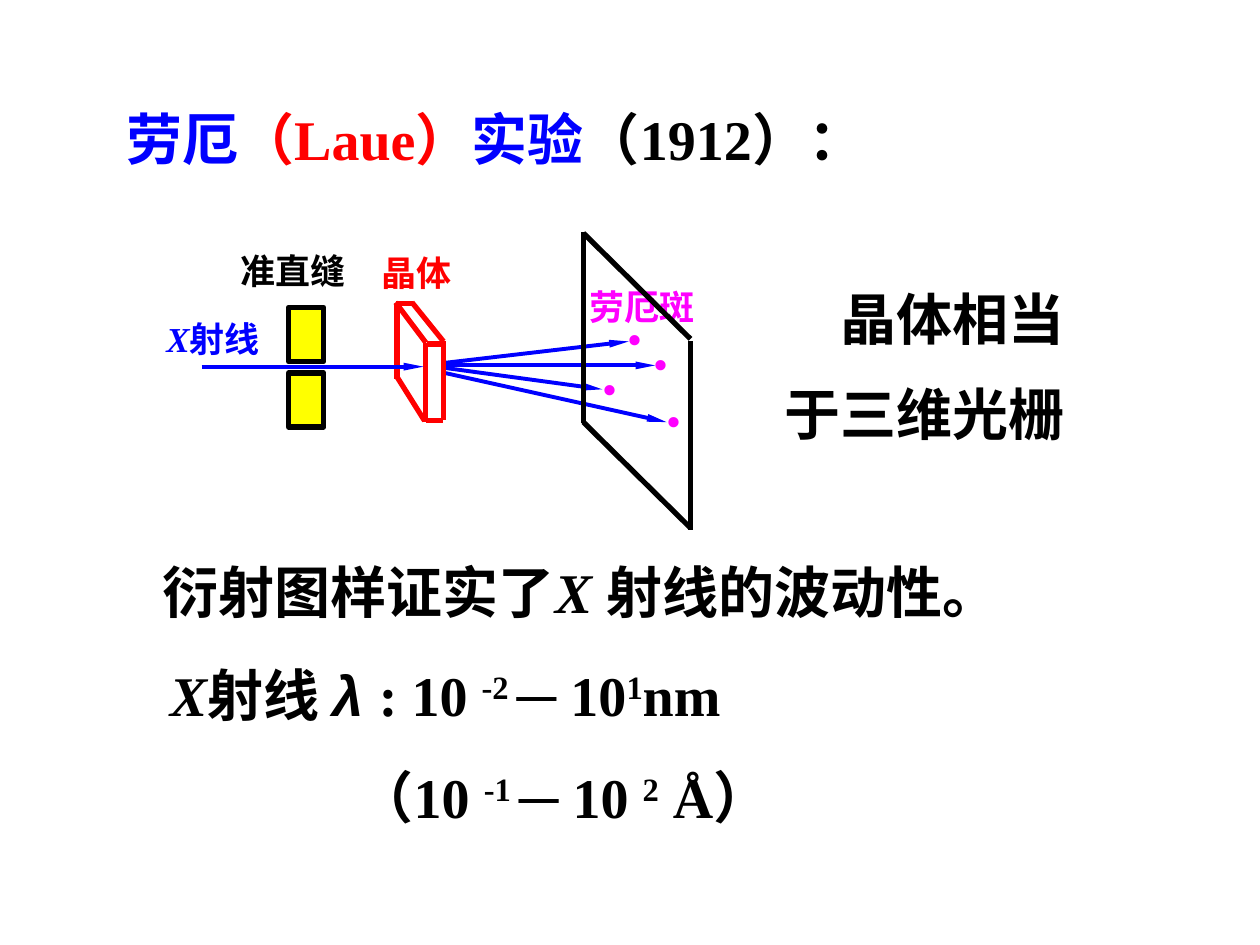
"""Build the Laue experiment slide."""
from lxml import etree
from pptx import Presentation
from pptx.dml.color import RGBColor
from pptx.enum.shapes import MSO_CONNECTOR, MSO_SHAPE
from pptx.enum.text import MSO_ANCHOR, MSO_AUTO_SIZE, PP_ALIGN
from pptx.oxml.ns import qn
from pptx.util import Inches, Pt

LINE, RECT = MSO_CONNECTOR.STRAIGHT, MSO_SHAPE.RECTANGLE
TOP, NO_FIT, LEFT = MSO_ANCHOR.TOP, MSO_AUTO_SIZE.NONE, PP_ALIGN.LEFT
BLACK, BLUE, RED = "000000", "0000FF", "FF0000"
PINK, GOLD = "FF00FF", "FFFF00"
SERIF, SANS = "Times New Roman", "Arial"
ITAL, SUP, ARIAL = {"ital": True}, {"sup": True}, {"face": SANS}

TITLE = [("劳厄", {"color": BLUE}), ("（Laue）", {"color": RED}),
         ("实验", {"color": BLUE}), ("（1912）：", {})]

NOTES = [
    ((0.77, 4.27, 8.25, 0.74), 1.2, 0.42,
     [[("衍射图样证实了", {}), ("X ", ITAL), ("射线的波动性。", {})]]),
    ((6.13, 2, 3.4, 1.6), 1.4, 0.44,
     [[("晶体相当", {})], [("于三维光栅", {})]]),
    ((1.25, 5.19, 6.25, 0.64), 1, 0,
     [[("X", ITAL), ("射线 ", {}), ("λ ", {"face": SANS, "ital": True}),
       (": 10 ", {}), ("-2 ", SUP), ("─", ARIAL), (" 10", {}),
       ("1", SUP), ("nm", {})]]),
    ((2.74, 6, 4.81, 0.64), 1, 0,
     [[("（10 ", {}), ("-1 ", SUP), ("─", ARIAL), (" 10 ", {}),
       ("2", SUP), (" Å）", {})]]),
]

LABELS = [
    ((1.31, 2.51, 0.89, 0.31), BLUE, [("X", ITAL), ("射线", {})]),
    ((1.9, 1.97, 1.04, 0.31), BLACK, [("准直缝", {})]),
    ((3.02, 1.99, 0.62, 0.27), RED, [("晶体", {})]),
    ((4.67, 2.26, 1.11, 0.37), PINK, [("劳厄斑", {})]),
]
SPOTS = [(4.95, 2.36, 0.33, 0.4), (5.15, 2.56, 0.29, 0.36),
         (4.75, 2.76, 0.28, 0.42), (5.26, 3.01, 0.25, 0.36)]
SLITS = [2.44, 2.96]

RAYS = [(3.53, 2.88, 4.99, 2.71), (3.53, 2.9, 5.2, 2.9),
        (3.53, 2.92, 4.78, 3.09), (3.53, 2.96, 5.29, 3.35)]
BEAM = [(1.6, 2.91, 3.36, 2.91)]
CRYSTAL = [(3.15, 2.41, 3.15, 3.01), (3.38, 2.72, 3.38, 3.35),
           (3.14, 2.4, 3.38, 2.72), (3.15, 2.99, 3.37, 3.34),
           (3.52, 2.71, 3.52, 3.33), (3.27, 2.4, 3.52, 2.71),
           (3.14, 2.41, 3.28, 2.41), (3.38, 3.34, 3.52, 3.34),
           (3.39, 2.73, 3.53, 2.73)]
SCREEN = [(4.63, 1.84, 4.63, 3.36), (5.48, 2.71, 5.48, 4.21),
          (4.63, 1.85, 5.48, 2.69), (4.63, 3.35, 5.48, 4.19)]


def rgb(code):
    return RGBColor.from_string(code)


def add_runs(para, runs, size, color=BLACK):
    for text, style in runs:
        run = para.add_run()
        run.text = text
        font = run.font
        font.size, font.bold = Pt(size), True
        font.italic = style.get("ital", False)
        font.name = style.get("face", SERIF)
        font.color.rgb = rgb(style.get("color", color))
        if style.get("sup"):
            run._r.get_or_add_rPr().set("baseline", "30000")


def set_frame(frame, pad_x, pad_y):
    frame.word_wrap, frame.auto_size = True, NO_FIT
    frame.vertical_anchor = TOP
    frame.margin_left = frame.margin_right = Inches(pad_x)
    frame.margin_top = frame.margin_bottom = Inches(pad_y)


def add_text(slide, box, paras, size, color=BLACK, pad=(0.1, 0.05),
             space=1, indent=0):
    frame = slide.shapes.add_textbox(*map(Inches, box)).text_frame
    set_frame(frame, *pad)
    for i, runs in enumerate(paras):
        para = frame.add_paragraph() if i else frame.paragraphs[0]
        para.line_spacing = space
        if indent and not i:
            para._p.get_or_add_pPr().set("indent", str(Inches(indent)))
        add_runs(para, runs, size, color)


def add_lines(slide, lines, color, width, arrow=False):
    for ends in lines:
        line = slide.shapes.add_connector(LINE, *map(Inches, ends))
        line.line.color.rgb, line.line.width = rgb(color), Pt(width)
        if arrow:
            etree.SubElement(line.line._get_or_add_ln(), qn("a:tailEnd"),
                             type="triangle", w="sm", len="lg")
        etree.SubElement(line._element.spPr, qn("a:effectLst"))


def add_title(slide):
    title = slide.shapes.title
    title.left, title.top = Inches(0.9), Inches(0.78)
    title.width, title.height = Inches(7.6), Inches(0.64)
    set_frame(title.text_frame, 0.1, 0.05)
    para = title.text_frame.paragraphs[0]
    para.alignment = LEFT
    add_runs(para, TITLE, 32)


def add_slit(slide, top):
    slit = slide.shapes.add_shape(
        RECT, *map(Inches, (2.29, top, 0.28, 0.43)))
    slit.shadow.inherit = False
    slit.fill.solid()
    slit.fill.fore_color.rgb = rgb(GOLD)
    slit.line.color.rgb, slit.line.width = rgb(BLACK), Pt(3)


def main():
    deck = Presentation()
    deck.slide_width, deck.slide_height = Inches(10), Inches(7.5)
    slide = deck.slides.add_slide(deck.slide_layouts[5])
    add_title(slide)
    add_lines(slide, RAYS, BLUE, 2.25, True)
    for top in SLITS:
        add_slit(slide, top)
    add_lines(slide, CRYSTAL, RED, 3)
    for box in SPOTS:
        add_text(slide, box, [[("·", {})]], 36, PINK, (0.01, 0.01))
    for box, color, runs in LABELS:
        add_text(slide, box, [runs], 20, color, (0.01, 0.01))
    add_lines(slide, SCREEN, BLACK, 3)
    for box, space, indent, paras in NOTES:
        add_text(slide, box, paras, 32, space=space, indent=indent)
    add_lines(slide, BEAM, BLUE, 2.25, True)
    deck.save("out.pptx")


if __name__ == "__main__":
    main()
